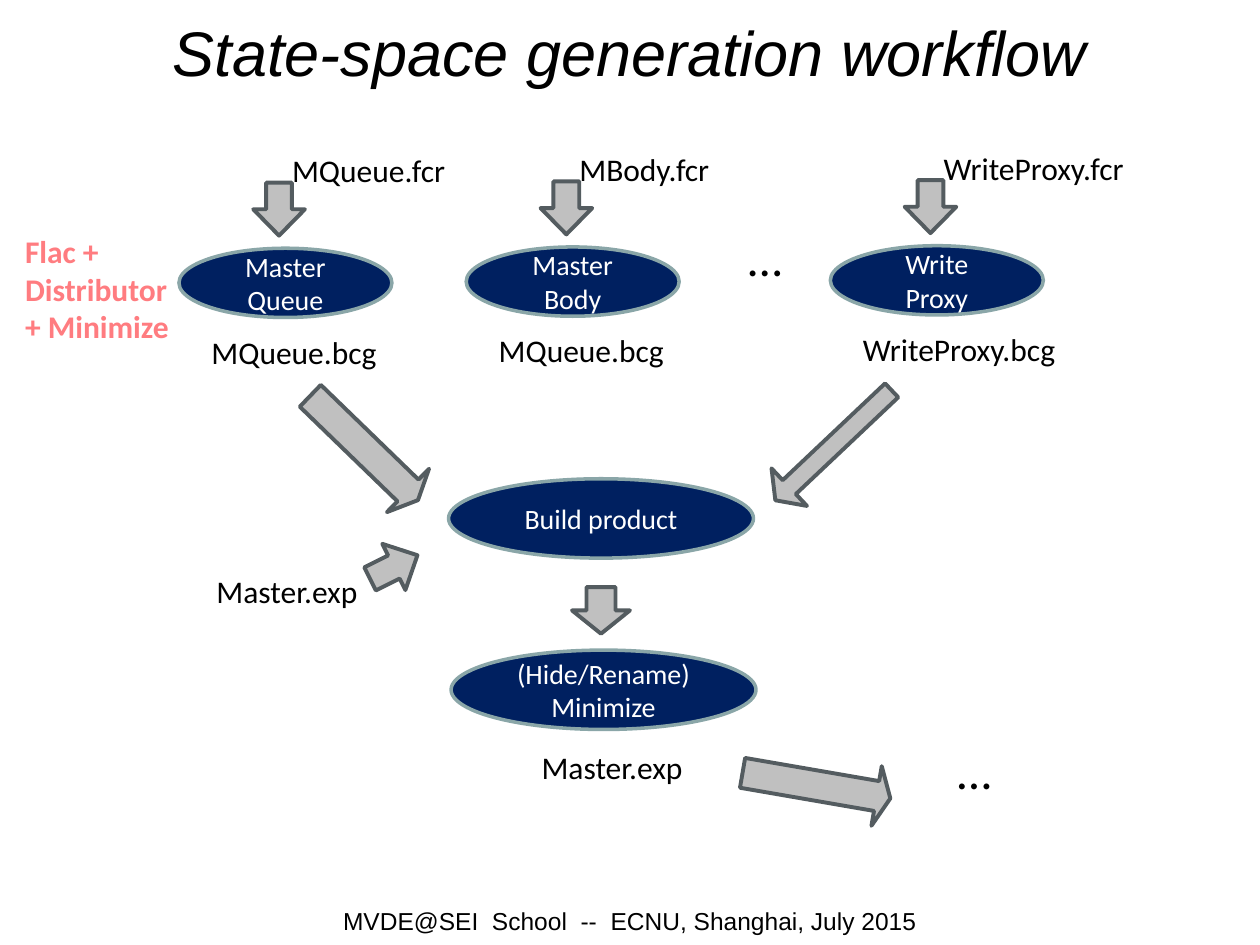
"""Build the state-space generation workflow slide."""
import pptx
import pptx.util
import pptx.dml.color
import pptx.enum.shapes
import pptx.enum.text

Inches, Pt = pptx.util.Inches, pptx.util.Pt
RGBColor = pptx.dml.color.RGBColor
SHAPE = pptx.enum.shapes.MSO_SHAPE
ALIGN = pptx.enum.text.PP_ALIGN
ANCHOR = pptx.enum.text.MSO_ANCHOR
AUTO = pptx.enum.text.MSO_AUTO_SIZE

BLACK = RGBColor(0x00, 0x00, 0x00)
WHITE = RGBColor(0xFF, 0xFF, 0xFF)
NAVY = RGBColor(0x00, 0x20, 0x60)
SAGE = RGBColor(0x8A, 0xA6, 0xA8)
SILVER = RGBColor(0xC0, 0xC0, 0xC0)
SLATE = RGBColor(0x54, 0x5C, 0x60)
CORAL = RGBColor(0xFF, 0x7C, 0x80)

prs = pptx.Presentation()
prs.slide_width, prs.slide_height = Inches(10), Inches(7.5)
s = prs.slides.add_slide(prs.slide_layouts[6])


def add_text(text, x, y, w, h, size=18, color=BLACK, font="Calibri",
             align=ALIGN.LEFT, wrap=False, bold=False, italic=False):
    sp = s.shapes.add_textbox(Inches(x), Inches(y), Inches(w), Inches(h))
    tf = sp.text_frame
    tf.text = text
    tf.word_wrap = wrap
    tf.auto_size = AUTO.NONE if wrap else AUTO.SHAPE_TO_FIT_TEXT
    for p in tf.paragraphs:
        p.alignment = align
        for r in p.runs:
            r.font.name, r.font.size = font, Pt(size)
            r.font.bold, r.font.italic = bold, italic
            r.font.color.rgb = color
    return sp


def add_block(kind, x, y, w, h, fill, line, weight, text=""):
    sp = s.shapes.add_shape(kind, Inches(x), Inches(y), Inches(w), Inches(h))
    sp.shadow.inherit = False
    sp.fill.solid()
    sp.fill.fore_color.rgb = fill
    sp.line.color.rgb = line
    sp.line.width = Pt(weight)
    tf = sp.text_frame
    tf.text = text
    tf.word_wrap = True
    tf.vertical_anchor = ANCHOR.MIDDLE
    for p in tf.paragraphs:
        p.alignment = ALIGN.CENTER
        for r in p.runs:
            r.font.name, r.font.size = "Calibri", Pt(16)
            r.font.color.rgb = WHITE
    return sp


components = [
    (1.42, 1.97, "Master Queue", "MQueue.fcr", 1.43, "MQueue.bcg", 1.53),
    (3.7, 1.96, "Master Body", "MBody.fcr", 1.24, "MQueue.bcg", 1.53),
    (6.59, 1.95, "Write Proxy", "WriteProxy.fcr", 1.64, "WriteProxy.bcg", 1.74),
]
arrows = [
    (4.54, 4.66, 0.46, 0.37, 0, 0.5, 0.5),
    (2.65, 2.96, 0.48, 1.19, 314.1, 0.5, 0.23),
    (2.92, 4.29, 0.41, 0.42, 243.5, 0.5, 0.51),
    (6.41, 2.9, 0.41, 1.27, 46.6, 0.37, 0.37),
    (6.24, 5.64, 0.48, 1.19, 279.8, 0.5, 0.23),
]

for x, y, name, source, source_w, result, result_w in components:
    add_text(result, x + 0.16, y + 0.62, result_w, 0.36)
    add_block(SHAPE.OVAL, x, y, 1.69, 0.55, NAVY, SAGE, 2, name)
    add_text(source, x + 0.8, y - 0.82, source_w, 0.36)
    arrows.append((x + 0.59, y - 0.52, 0.41, 0.42, 0, 0.5, 0.51))

for x, y, w, h, angle, shaft, head in arrows:
    sp = add_block(SHAPE.DOWN_ARROW, x, y, w, h, SILVER, SLATE, 2.25)
    sp.rotation = angle
    sp.adjustments[0], sp.adjustments[1] = shaft, head

for text, x, y in [("Build product", 3.56, 3.8),
                   ("(Hide/Rename)\nMinimize", 3.58, 5.16)]:
    add_block(SHAPE.OVAL, x, y, 2.42, 0.63, NAVY, SAGE, 2, text)

for x, y in [(1.62, 4.49), (4.2, 5.89)]:
    add_text("Master.exp", x, y, 1.33, 0.4)

for x, y in [(5.84, 1.76), (7.5, 5.83)]:
    add_text("…", x, y, 0.47, 0.57, size=28)

add_text("Flac +\nDistributor\n+ Minimize", 0.1, 1.79, 1.35, 1.01,
         color=CORAL, bold=True)

sp = add_text("State-space generation workflow", 0.78, 0, 8.44, 0.81, size=36,
              font="Arial", align=ALIGN.CENTER, wrap=True, italic=True)
sp.text_frame.vertical_anchor = ANCHOR.MIDDLE

add_text("MVDE@SEI  School  --  ECNU, Shanghai, July 2015", 0.59, 7.14, 8.82, 0.36,
         size=14, font="Arial", align=ALIGN.CENTER, wrap=True)

prs.save("out.pptx")
